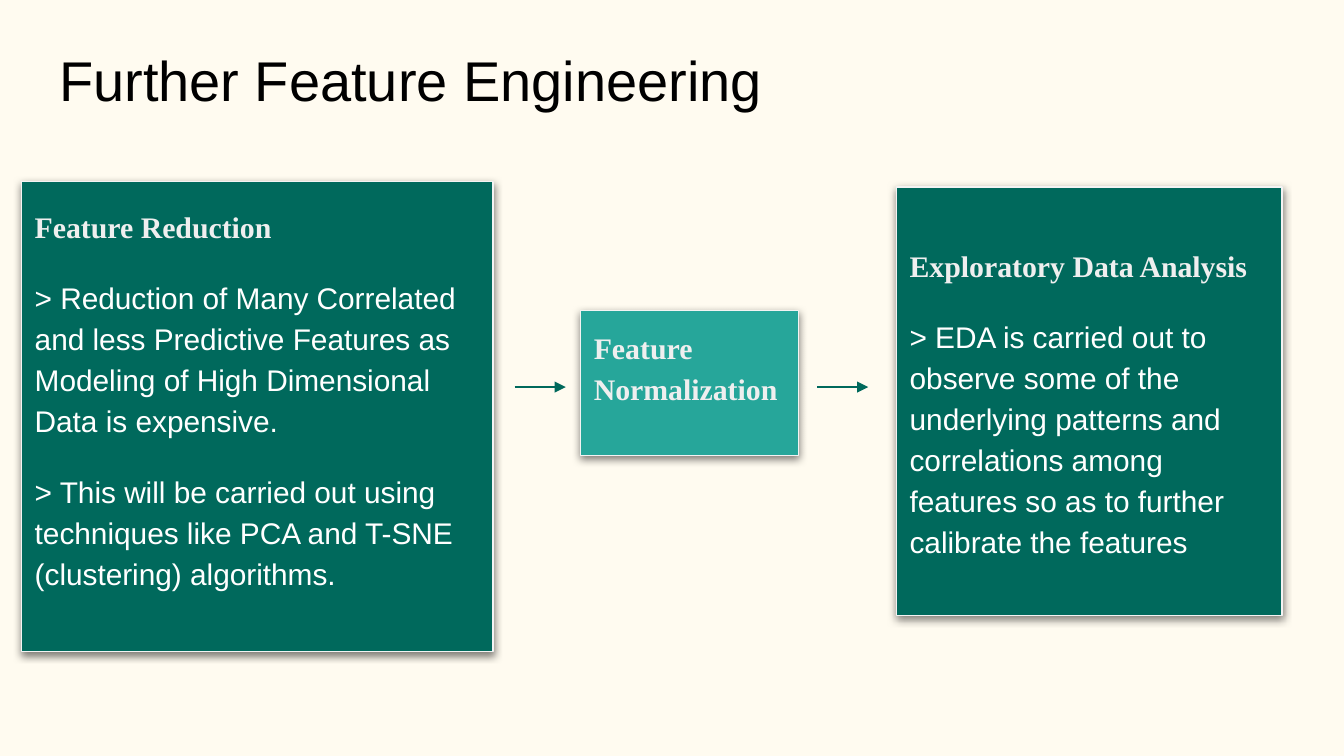
from dataclasses import dataclass

import pptx
import pptx.dml.color
import pptx.enum.shapes
import pptx.enum.text
import pptx.oxml
import pptx.oxml.ns
import pptx.util

Inches = pptx.util.Inches
Pt = pptx.util.Pt
ANCHOR = pptx.enum.text.MSO_ANCHOR
NAMESPACE = pptx.oxml.ns.nsdecls("a")


@dataclass(frozen=True)
class Theme:
    """Colours, fonts and type sizes of the slide."""

    background: str = "FFFBF0"
    dark: str = "00695C"
    light: str = "26A69A"
    border: str = "F3F3F3"
    title: str = "000000"
    heading: str = "EFEFEF"
    body: str = "FFFFFF"
    sans: str = "Arial"
    serif: str = "Times New Roman"
    title_size: int = 30
    card_size: int = 16
    line_width: float = 0.75


def color(value):
    """Return the RGB colour for a hex string."""
    return pptx.dml.color.RGBColor.from_string(value)


def write(paragraph, text, *, font, size, fill, bold=False, spacing=1.0, before=0):
    """Write formatted, left-aligned text into a paragraph."""
    paragraph.alignment = pptx.enum.text.PP_ALIGN.LEFT
    paragraph.line_spacing = spacing
    paragraph.space_before = Pt(before)
    run = paragraph.add_run()
    run.text = text
    run.font.name = font
    run.font.size = Pt(size)
    run.font.bold = bold
    run.font.color.rgb = color(fill)


class SlideBuilder:
    """Hold the theme and the current slide, and add its elements."""

    def __init__(self, slide, theme):
        """Keep the slide and theme, and paint the background."""
        self.slide = slide
        self.theme = theme
        slide.background.fill.solid()
        slide.background.fill.fore_color.rgb = color(theme.background)

    def prepare_frame(self, shape, top_inset=0.1):
        """Set wrapping, anchor and insets of a shape's text."""
        frame = shape.text_frame
        frame.word_wrap = True
        frame.auto_size = pptx.enum.text.MSO_AUTO_SIZE.NONE
        frame.vertical_anchor = ANCHOR.TOP
        frame.margin_left = frame.margin_right = frame.margin_bottom = Inches(0.1)
        frame.margin_top = Inches(top_inset)
        return frame

    def add_title(self, text, left, top, width, height):
        """Place and fill the title placeholder."""
        title = self.slide.shapes.title
        title.left, title.top = Inches(left), Inches(top)
        title.width, title.height = Inches(width), Inches(height)
        frame = self.prepare_frame(title)
        write(frame.paragraphs[0], text, font=self.theme.sans,
              size=self.theme.title_size, fill=self.theme.title)

    def add_shadow(self, shape):
        """Give a shape a soft shadow below it."""
        shape.shadow.inherit = False
        effects = shape._element.spPr.find(pptx.oxml.ns.qn("a:effectLst"))
        effects.append(pptx.oxml.parse_xml(
            f'<a:outerShdw {NAMESPACE} blurRad="{Pt(4.5)}" dist="{Pt(1.5)}" '
            'dir="5400000" algn="bl" rotWithShape="0">'
            '<a:srgbClr val="000000"><a:alpha val="50000"/></a:srgbClr>'
            '</a:outerShdw>'))

    def add_card(self, heading, points, left, top, width, height, fill, top_inset):
        """Add a shadowed card with a heading and its points."""
        theme = self.theme
        card = self.slide.shapes.add_shape(
            pptx.enum.shapes.MSO_SHAPE.RECTANGLE,
            Inches(left), Inches(top), Inches(width), Inches(height))
        card.fill.solid()
        card.fill.fore_color.rgb = color(fill)
        card.line.color.rgb = color(theme.border)
        card.line.width = Pt(theme.line_width)
        self.add_shadow(card)
        frame = self.prepare_frame(card, top_inset)
        write(frame.paragraphs[0], heading, font=theme.serif, size=theme.card_size,
              fill=theme.heading, bold=True, spacing=1.15)
        for point in points:
            write(frame.add_paragraph(), f"> {point}", font=theme.sans,
                  size=theme.card_size, fill=theme.body, spacing=1.15,
                  before=theme.card_size)

    def add_arrow(self, left, middle, length):
        """Add a horizontal arrow pointing right."""
        arrow = self.slide.shapes.add_connector(
            pptx.enum.shapes.MSO_CONNECTOR.STRAIGHT, Inches(left), Inches(middle),
            Inches(left + length), Inches(middle))
        arrow.line.color.rgb = color(self.theme.dark)
        arrow.line.width = Pt(self.theme.line_width)
        properties = arrow._element.spPr
        properties.find(pptx.oxml.ns.qn("a:ln")).append(
            pptx.oxml.parse_xml(f'<a:tailEnd {NAMESPACE} type="triangle"/>'))
        properties.append(pptx.oxml.parse_xml(f"<a:effectLst {NAMESPACE}/>"))


def main():
    """Build and save the presentation."""
    presentation = pptx.Presentation()
    presentation.slide_width = Inches(10)
    presentation.slide_height = Inches(10) * 9 // 16
    theme = Theme()
    slide = presentation.slides.add_slide(presentation.slide_layouts[5])
    builder = SlideBuilder(slide, theme)

    builder.add_title("Further Feature Engineering", 0.34, 0.24, 9.32, 0.67)
    builder.add_card(
        "Exploratory Data Analysis",
        ["EDA is carried out to observe some of the underlying patterns and "
         "correlations among features so as to further calibrate the features"],
        6.67, 1.39, 2.87, 3.19, theme.dark, top_inset=0.41)
    builder.add_card("Feature Normalization", [],
                     4.32, 2.31, 1.62, 1.08, theme.light, top_inset=0.1)
    builder.add_card(
        "Feature Reduction",
        ["Reduction of Many Correlated and less Predictive Features as "
         "Modeling of High Dimensional Data is expensive.",
         "This will be carried out using techniques like PCA and T-SNE "
         "(clustering) algorithms."],
        0.16, 1.35, 3.51, 3.5, theme.dark, top_inset=0.16)
    for left in (3.83, 6.08):
        builder.add_arrow(left, 2.88, 0.38)

    presentation.save("out.pptx")


if __name__ == "__main__":
    main()
